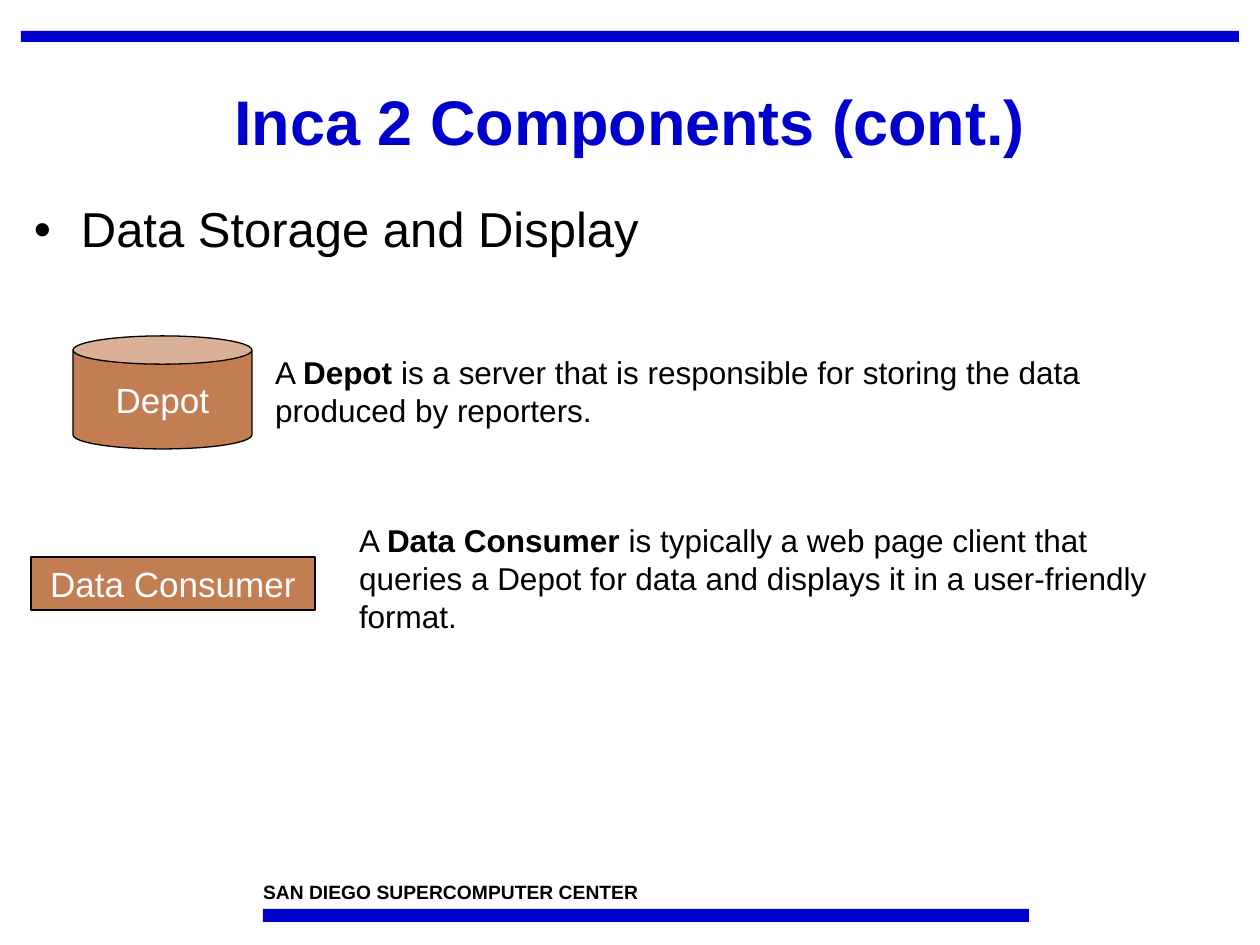
from dataclasses import dataclass

from pptx import Presentation
from pptx import util as u
from pptx.dml.color import RGBColor
from pptx.enum import shapes, text
from pptx.oxml import parse_xml
from pptx.oxml.ns import nsdecls

PX_PER_INCH = 126
FONT = "Arial"
BLUE = RGBColor(0x00, 0x00, 0xCC)
COPPER = RGBColor(0xC2, 0x7D, 0x52)
BLACK = RGBColor(0x00, 0x00, 0x00)
WHITE = RGBColor(0xFF, 0xFF, 0xFF)


def px(length: int) -> int:
    return u.Inches(length / PX_PER_INCH)


@dataclass(frozen=True)
class Box:
    left: int
    top: int
    width: int
    height: int

    def emu(self) -> tuple:
        return tuple(px(v) for v in (self.left, self.top, self.width, self.height))


@dataclass(frozen=True)
class Component:
    name: str
    outline: shapes.MSO_SHAPE
    box: Box
    description: str
    description_box: Box


COMPONENTS = (
    Component("Depot", shapes.MSO_SHAPE.CAN, Box(73, 336, 179, 113),
              " is a server that is responsible for storing the data "
              "produced by reporters.",
              Box(262, 347, 851, 113)),
    Component("Data Consumer", shapes.MSO_SHAPE.RECTANGLE, Box(31, 557, 284, 53),
              " is typically a web page client that queries a Depot for data "
              "and displays it in a user-friendly format.",
              Box(346, 515, 851, 113)),
)
BARS = (Box(21, 31, 1218, 11), Box(263, 909, 766, 13))


def write(shape, *runs, size, color=BLACK, bold=(), align=text.PP_ALIGN.LEFT,
          anchor=text.MSO_ANCHOR.TOP, wrap=True, margins=(13, 6),
          line_spacing=1.0):
    """Fill a shape with one paragraph; bold holds the indexes of bold runs."""
    frame = shape.text_frame
    frame.auto_size = text.MSO_AUTO_SIZE.NONE
    frame.word_wrap = wrap
    frame.vertical_anchor = anchor
    frame.margin_left = frame.margin_right = px(margins[0])
    frame.margin_top = frame.margin_bottom = px(margins[1])
    paragraph = frame.paragraphs[0]
    paragraph.alignment = align
    paragraph.line_spacing = line_spacing
    paragraph.space_before = u.Pt(0)
    for index, words in enumerate(runs):
        run = paragraph.add_run()
        run.text = words
        run.font.name = FONT
        run.font.size = u.Pt(size)
        run.font.bold = index in bold
        run.font.color.rgb = color
    return paragraph


def add_filled(slide, outline: shapes.MSO_SHAPE, box: Box, color: RGBColor):
    shape = slide.shapes.add_shape(outline, *box.emu())
    shape.shadow.inherit = False
    shape.fill.solid()
    shape.fill.fore_color.rgb = color
    shape.line.fill.background()
    return shape


def add_bullet(paragraph, indent: int) -> None:
    properties = paragraph._p.get_or_add_pPr()
    properties.set("marL", str(px(indent)))
    properties.set("indent", str(-px(indent)))
    properties.append(parse_xml(f'<a:buFont {nsdecls("a")} typeface="{FONT}"/>'))
    properties.append(parse_xml(f'<a:buChar {nsdecls("a")} char="•"/>'))


def add_component(slide, component: Component) -> None:
    symbol = add_filled(slide, component.outline, component.box, COPPER)
    symbol.line.color.rgb = BLACK
    symbol.line.width = u.Pt(0.75)
    write(symbol, component.name, size=20, color=WHITE, wrap=False,
          align=text.PP_ALIGN.CENTER, anchor=text.MSO_ANCHOR.MIDDLE)
    description = slide.shapes.add_textbox(*component.description_box.emu())
    write(description, "A ", component.name, component.description,
          size=18, bold=(1,))


def main() -> None:
    deck = Presentation()
    deck.slide_width, deck.slide_height = u.Inches(10), u.Inches(7.5)
    slide = deck.slides.add_slide(deck.slide_layouts[5])

    # Frame bars and footer
    for bar in BARS:
        add_filled(slide, shapes.MSO_SHAPE.RECTANGLE, bar, BLUE)
    footer = slide.shapes.add_textbox(*Box(263, 880, 473, 23).emu())
    write(footer, "SAN DIEGO SUPERCOMPUTER CENTER", size=11, bold=(0,),
          margins=(0, 0))

    # Title
    title = slide.shapes.title
    title.left, title.top, title.width, title.height = Box(21, 53, 1218, 144).emu()
    write(title, "Inca 2 Components (cont.)", size=36, color=BLUE, bold=(0,),
          align=text.PP_ALIGN.CENTER, anchor=text.MSO_ANCHOR.MIDDLE,
          line_spacing=0.9)

    # Topic
    topic = slide.shapes.add_textbox(*Box(21, 197, 1218, 654).emu())
    add_bullet(write(topic, "Data Storage and Display", size=28,
                     line_spacing=0.95), indent=47)

    # Components with their descriptions
    for component in COMPONENTS:
        add_component(slide, component)

    deck.save("out.pptx")


if __name__ == "__main__":
    main()
